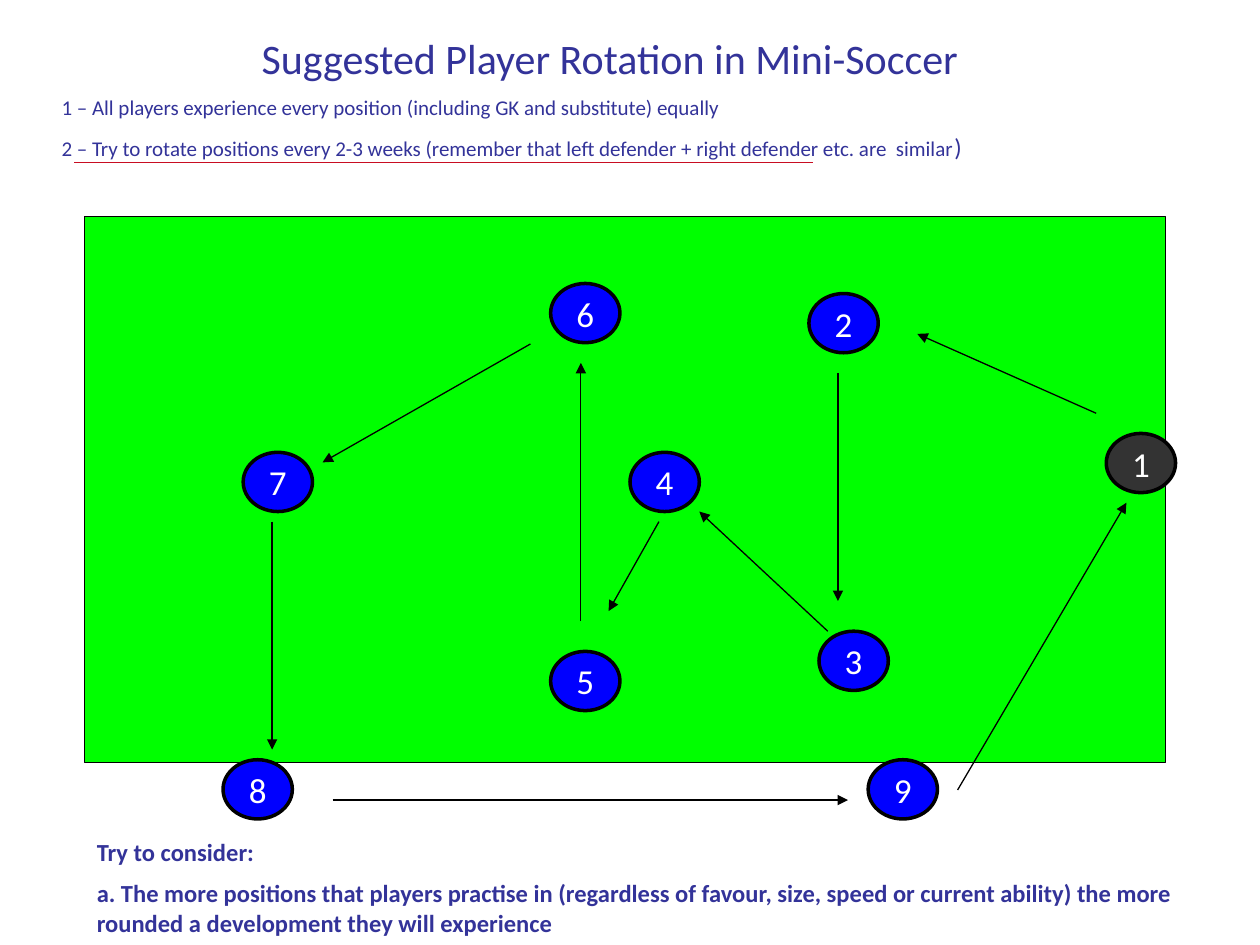
"""Build the player rotation slide for mini-soccer."""
import pptx
import pptx.dml.color
import pptx.enum.shapes
import pptx.enum.text
import pptx.oxml
import pptx.oxml.ns
import pptx.util
from pptx.util import Inches

Pt = pptx.util.Pt
Color = pptx.dml.color.RGBColor.from_string
Shape = pptx.enum.shapes.MSO_SHAPE
Align = pptx.enum.text.PP_ALIGN
Anchor = pptx.enum.text.MSO_ANCHOR

THEME = {
    "font": "Calibri",
    "ink": Color("333399"),
    "pitch": Color("00FF00"),
    "player": Color("0000FF"),
    "keeper": Color("333333"),
    "number": Color("FFFFFF"),
    "outline": Color("000000"),
    "rule": Color("C80D22"),
    "title_size": Pt(24),
    "number_size": Pt(20),
    "advice_size": Pt(14),
    "rule_size": Pt(12),
}


def write(box, paragraphs, size, color, align, anchor, wrap=True, bold=False):
    """Fill a box with paragraphs, each a list of (text, size or None) spans."""
    frame = box.text_frame
    settings = {"word_wrap": wrap, "vertical_anchor": anchor,
                "auto_size": pptx.enum.text.MSO_AUTO_SIZE.NONE}
    for name, value in settings.items():
        setattr(frame, name, value)
    for index, spans in enumerate(paragraphs):
        para = frame.add_paragraph() if index else frame.paragraphs[0]
        para.alignment = align
        para.space_before = Pt(7 if index else 0)
        for text, span_size in spans:
            span = para.add_run()
            span.text = text
            span.font.color.rgb = color
            values = {"name": THEME["font"], "size": span_size or size, "bold": bold}
            for name, value in values.items():
                setattr(span.font, name, value)


def draw_line(shapes, start, end, color, width, arrow=False):
    """Draw a straight line, with an arrowhead at its end if wanted."""
    line = shapes.add_connector(pptx.enum.shapes.MSO_CONNECTOR.STRAIGHT,
                                *map(Inches, start + end))
    line.line.color.rgb = color
    line.line.width = width
    if arrow:
        head = pptx.oxml.parse_xml(
            f'<a:tailEnd {pptx.oxml.ns.nsdecls("a")} type="triangle"/>')
        line.line._get_or_add_ln().append(head)
    line._element.spPr.append(
        pptx.oxml.parse_xml(f'<a:effectLst {pptx.oxml.ns.nsdecls("a")}/>'))


deck = pptx.Presentation()
deck.slide_width, deck.slide_height = Inches(10), Inches(7.5)
page = deck.slides.add_slide(deck.slide_layouts[5])
shapes = page.shapes

title = shapes.title
bounds = {"left": 0.39, "top": 0.21, "width": 8.9, "height": 0.5}
for name, value in bounds.items():
    setattr(title, name, Inches(value))
write(title, [[("Suggested Player Rotation in Mini-Soccer", None)]],
      THEME["title_size"], THEME["ink"], Align.CENTER, Anchor.TOP)

draw_line(shapes, (0.59, 1.29), (6.45, 1.29), THEME["rule"], Pt(1))

pitch = shapes.add_shape(Shape.RECTANGLE, Inches(0.67), Inches(1.72),
                         Inches(8.58), Inches(4.33))
pitch.shadow.inherit = False
pitch.fill.solid()
pitch.fill.fore_color.rgb = THEME["pitch"]
pitch.line.color.rgb = THEME["outline"]
pitch.line.width = Pt(0.75)

players = {
    2: (6.42, 2.33), 3: (6.5, 5.01), 4: (5, 3.59), 5: (4.37, 5.17), 6: (4.37, 2.25),
    7: (1.93, 3.59), 1: (8.78, 3.44), 8: (1.77, 6.03), 9: (6.89, 6.03),
}
for number, (left, top) in players.items():
    player = shapes.add_shape(Shape.OVAL, Inches(left), Inches(top),
                              Inches(0.55), Inches(0.47))
    player.shadow.inherit = False
    player.fill.solid()
    player.fill.fore_color.rgb = THEME["keeper" if number == 1 else "player"]
    player.line.color.rgb = THEME["outline"]
    player.line.width = Pt(2)
    write(player, [[(str(number), None)]], THEME["number_size"], THEME["number"],
          Align.CENTER, Anchor.MIDDLE, wrap=False)

rules = [
    [("1 – All players experience every position (including GK and substitute) equally",
      None)],
    [("2 – Try to rotate positions every 2-3 weeks (remember that left defender + "
      "right defender etc. are  similar", None), (")", Pt(14))],
]
rules_box = shapes.add_textbox(Inches(0.39), Inches(0.7), Inches(8.9), Inches(0.67))
write(rules_box, rules, THEME["rule_size"], THEME["ink"], Align.LEFT, Anchor.TOP)

moves = [
    ((8.7, 3.28), (7.28, 2.65)),
    ((6.65, 2.96), (6.65, 4.77)),
    ((6.57, 5.01), (5.55, 4.06)),
    ((5.23, 4.14), (4.83, 4.85)),
    ((4.61, 4.93), (4.61, 2.88)),
    ((4.21, 2.73), (2.56, 3.67)),
    ((2.16, 4.14), (2.16, 5.95)),
    ((2.64, 6.35), (6.73, 6.35)),
    ((7.6, 6.27), (8.94, 3.99)),
]
for start, end in moves:
    draw_line(shapes, start, end, THEME["outline"], Pt(0.75), arrow=True)

advice = [
    [("Try to consider:", None)],
    [("a. The more positions that players practise in (regardless of favour, size, "
      "speed or current ability) the more rounded a development they will experience",
      None)],
]
advice_box = shapes.add_textbox(Inches(0.67), Inches(6.59), Inches(8.9), Inches(0.93))
write(advice_box, advice, THEME["advice_size"], THEME["ink"], Align.LEFT, Anchor.TOP,
      bold=True)

deck.save("out.pptx")
